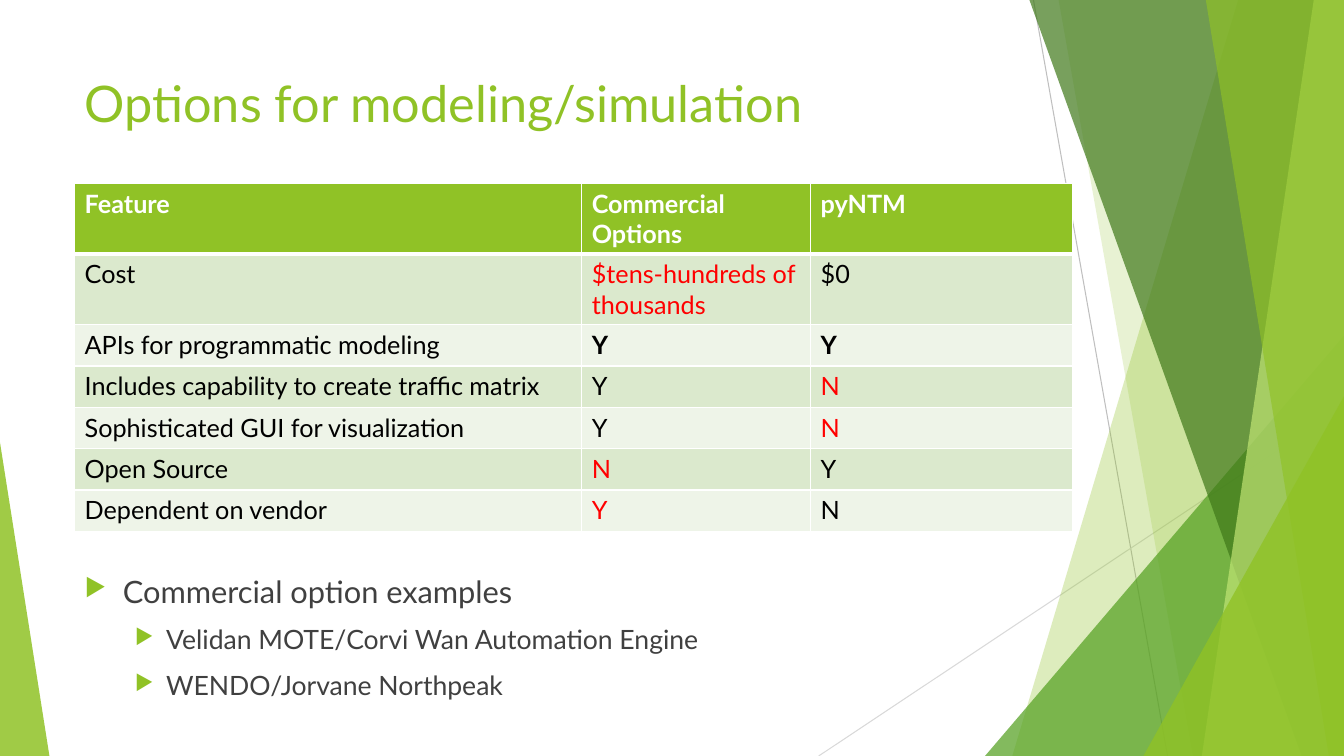
from lxml import etree
from pptx import Presentation
from pptx.dml.color import RGBColor
from pptx.enum.shapes import MSO_CONNECTOR, MSO_SHAPE
from pptx.enum.text import MSO_ANCHOR
from pptx.oxml.ns import qn
from pptx.util import Inches, Pt

STRAIGHT = MSO_CONNECTOR.STRAIGHT
TRIANGLE = MSO_SHAPE.ISOSCELES_TRIANGLE
TOP = MSO_ANCHOR.TOP
W, H = 13.33, 7.5
FONT = "Lato"
GREEN, WHITE, BLACK, RED, GREY = "90C226", "FFFFFF", "000000", "FF0000", "404040"
BANDS = ("DBE9CD", "EEF4E8")

RAYS = [((10.25, 0), (11.58, H), "BFBFBF"), ((W, 4.03), (8.12, H), "D9D9D9")]
BACK_FACETS = [(12.28, 10.04, GREEN, 30), (10.5, 11.83, GREEN, 20)]
FRONT_FACETS = [(10.21, 12.91, "3F7819", 70), (13.03, 11.92, "C0E474", 70),
                (11.96, 13.18, GREEN, 65)]

COLUMNS = (5.03, 2.27, 2.6)
ROW_HEIGHT = 0.41
HEADER = ("Feature", "Commercial Options", "pyNTM")
FEATURES = [
    ("Cost", "$tens-hundreds of thousands", "$0"),
    ("APIs for programmatic modeling", "Y", "Y"),
    ("Includes capability to create traffic matrix", "Y", "N"),
    ("Sophisticated GUI for visualization", "Y", "N"),
    ("Open Source", "N", "Y"),
    ("Dependent on vendor", "Y", "N"),
]
DRAWBACKS = {(1, 1), (3, 2), (4, 2), (5, 1), (6, 1)}
BOLD_ROWS = {2}
EXAMPLES = [
    ("Commercial option examples", 0),
    ("Velidan MOTE/Corvi Wan Automation Engine", 1),
    ("WENDO/Jorvane Northpeak", 1),
]
LEVELS = [(22, 0.38, 0.38), (19, 0.81, 0.31)]


def rgb(value):
    """Turn a hex string into a colour."""
    return RGBColor.from_string(value)


def sub(parent, tag, **attrs):
    """Append a DrawingML child element."""
    return etree.SubElement(parent, qn(tag), {k: str(v) for k, v in attrs.items()})


def paint(sp, color, opacity):
    """Give a shape a translucent fill, no outline and no shadow."""
    sp.shadow.inherit = False
    sp.line.fill.background()
    sp.fill.solid()
    sp.fill.fore_color.rgb = rgb(color)
    node = sp.fill._xPr.find(qn("a:solidFill"))[0]
    sub(node, "a:alpha", val=opacity * 1000)


def add_facet(s, top, bottom, color, opacity):
    """Draw a facet from a slanted left edge to the slide's right edge."""
    fb = s.shapes.build_freeform(Inches(top), 0)
    corners = [(W, 0), (W, H), (bottom, H)]
    fb.add_line_segments([(Inches(x), Inches(y)) for x, y in corners])
    paint(fb.convert_to_shape(), color, opacity)


def add_corner(s, left, top, width, peak, color, opacity):
    """Draw a right triangle standing on the bottom edge."""
    sp = s.shapes.add_shape(TRIANGLE, Inches(left), Inches(top),
                            Inches(width), Inches(H - top))
    sp.adjustments[0] = peak
    paint(sp, color, opacity)


def add_ray(s, start, end, color):
    """Draw a thin straight line."""
    ends = [Inches(v) for v in (*start, *end)]
    line = s.shapes.add_connector(STRAIGHT, *ends)
    line.line.color.rgb = rgb(color)
    line.line.width = Pt(0.75)
    sub(line._element.spPr, "a:effectLst")


def add_run(p, text, size, color, bold=False):
    """Add a formatted run to a paragraph."""
    r = p.add_run()
    r.text = text
    formats = {"name": FONT, "size": Pt(size), "bold": bold}
    for key, value in formats.items():
        setattr(r.font, key, value)
    r.font.color.rgb = rgb(color)


def add_textbox(s, left, top, width, height):
    """Add a wrapping text box and return its frame."""
    box = s.shapes.add_textbox(*[Inches(v) for v in (left, top, width, height)])
    tf = box.text_frame
    for key, value in {"word_wrap": True, "vertical_anchor": TOP}.items():
        setattr(tf, key, value)
    return tf


def set_borders(cell, row):
    """Give a cell white borders, thick below the header."""
    tcPr = cell._tc.get_or_add_tcPr()
    widths = {"L": 1, "R": 1, "T": 3 if row == 1 else 1, "B": 3 if row == 0 else 1}
    for side, width in widths.items():
        ln = sub(tcPr, f"a:ln{side}", w=Pt(width))
        sub(sub(ln, "a:solidFill"), "a:srgbClr", val=WHITE)


def fill_cell(cell, text, row, col):
    """Write and style one table cell."""
    set_borders(cell, row)
    cell.fill.solid()
    cell.fill.fore_color.rgb = rgb(BANDS[(row - 1) % 2] if row else GREEN)
    color = RED if (row, col) in DRAWBACKS else BLACK if row else WHITE
    bold = row == 0 or (row in BOLD_ROWS and col > 0)
    add_run(cell.text_frame.paragraphs[0], text, 18, color, bold)


def add_feature_table(s):
    """Add the table that compares the options."""
    rows = [HEADER, *FEATURES]
    frame = s.shapes.add_table(len(rows), len(COLUMNS), Inches(0.74), Inches(1.82),
                               Inches(sum(COLUMNS)), Inches(ROW_HEIGHT * len(rows)))
    table = frame.table
    for column, width in zip(table.columns, COLUMNS):
        column.width = Inches(width)
    for i, texts in enumerate(rows):
        table.rows[i].height = Inches(ROW_HEIGHT)
        for j, text in enumerate(texts):
            fill_cell(table.cell(i, j), text, i, j)


def add_bullet(p, text, level):
    """Fill a paragraph as a bullet of the given level."""
    size, margin, hang = LEVELS[level]
    p.level = level
    p.space_before = Pt(10)
    pPr = p._p.get_or_add_pPr()
    pPr.set("marL", str(Inches(margin)))
    pPr.set("indent", str(-Inches(hang)))
    sub(sub(pPr, "a:buClr"), "a:srgbClr", val=GREEN)
    sub(pPr, "a:buSzPct", val=80000)
    sub(pPr, "a:buChar", char="\u25b6")
    add_run(p, text, size, GREY)


def add_examples(s):
    """Add the bulleted list of commercial options."""
    tf = add_textbox(s, 0.74, 5.63, 6.38, 1.53)
    for i, (text, level) in enumerate(EXAMPLES):
        add_bullet(tf.add_paragraph() if i else tf.paragraphs[0], text, level)


def add_backdrop(s):
    """Draw the green facets and thin rays from back to front."""
    for ray in RAYS:
        add_ray(s, *ray)
    for facet in BACK_FACETS:
        add_facet(s, *facet)
    add_corner(s, 9.77, 3.33, 3.56, 1, "54A021", 72)
    for facet in FRONT_FACETS:
        add_facet(s, *facet)
    add_corner(s, 11.34, 3.93, 1.99, 1, GREEN, 80)
    add_corner(s, 0, 4.39, 0.49, 0, GREEN, 85)


def main():
    """Build and save the slide."""
    prs = Presentation()
    prs.slide_width, prs.slide_height = Inches(W), Inches(H)
    s = prs.slides.add_slide(prs.slide_layouts[6])
    add_backdrop(s)
    title = add_textbox(s, 0.74, 0.67, 9.4, 1.44)
    add_run(title.paragraphs[0], "Options for modeling/simulation", 36, GREEN)
    add_feature_table(s)
    add_examples(s)
    prs.save("out.pptx")


main()
